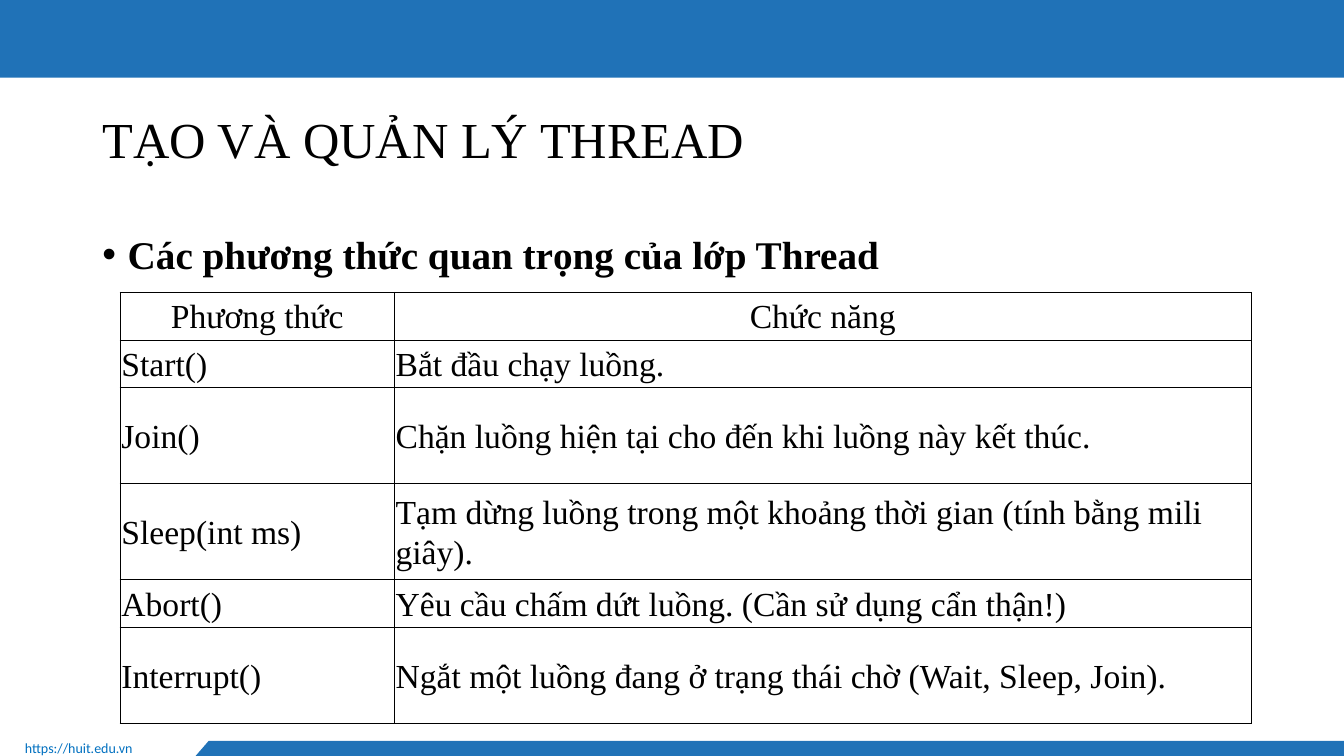
from dataclasses import dataclass

from lxml.etree import SubElement
from pptx import Presentation
from pptx.dml.color import RGBColor
from pptx.enum.shapes import MSO_SHAPE as Shape
from pptx.enum.text import MSO_ANCHOR as Anchor, PP_ALIGN as Align
from pptx.oxml.ns import qn
from pptx.util import Cm, Pt

SLIDE_WIDTH, SLIDE_HEIGHT = 33.87, 19.05
METHODS = [
    ("Phương thức", "Chức năng"),
    ("Start()", "Bắt đầu chạy luồng."),
    ("Join()", "Chặn luồng hiện tại cho đến khi luồng này kết thúc."),
    ("Sleep(int ms)", "Tạm dừng luồng trong một khoảng thời gian (tính bằng mili giây)."),
    ("Abort()", "Yêu cầu chấm dứt luồng. (Cần sử dụng cẩn thận!)"),
    ("Interrupt()", "Ngắt một luồng đang ở trạng thái chờ (Wait, Sleep, Join)."),
]
SHORT_ROW, TALL_ROW = 1.2, 2.42
ROW_HEIGHTS = [SHORT_ROW, SHORT_ROW, TALL_ROW, TALL_ROW, SHORT_ROW, TALL_ROW]
COLUMN_WIDTHS = [6.91, 21.59]


@dataclass(frozen=True)
class Theme:
    text: str = "000000"
    band: str = "2072B7"
    link: str = "0070C0"
    serif: str = "Times New Roman"
    sans: str = "Calibri"
    title_size: int = 36
    heading_size: int = 28
    table_size: int = 24
    footer_size: int = 10


class SlideBuilder:
    def __init__(self, slide, theme):
        self.slide, self.shapes, self.theme = slide, slide.shapes, theme

    def style(self, paragraph, size, name=None, color=None, bold=False):
        font = paragraph.font
        font.name = name or self.theme.serif
        font.size = Pt(size)
        font.bold = bold
        font.color.rgb = RGBColor.from_string(color or self.theme.text)

    def paint(self, shape):
        shape.shadow.inherit = False
        shape.fill.solid()
        shape.fill.fore_color.rgb = RGBColor.from_string(self.theme.band)
        shape.line.fill.background()

    def top_band(self, height):
        self.paint(self.shapes.add_shape(
            Shape.RECTANGLE, 0, 0, Cm(SLIDE_WIDTH), Cm(height)))

    def bottom_band(self, left, top, slant):
        outline = self.shapes.build_freeform(Cm(left + slant), Cm(top))
        outline.add_line_segments([
            (Cm(SLIDE_WIDTH), Cm(top)),
            (Cm(SLIDE_WIDTH), Cm(SLIDE_HEIGHT)),
            (Cm(left), Cm(SLIDE_HEIGHT)),
        ], close=True)
        self.paint(outline.convert_to_shape())

    def title(self, text, left, top, width, height):
        title = self.shapes.title
        title.left, title.top, title.width, title.height = map(Cm, (left, top, width, height))
        frame = title.text_frame
        frame.text = text
        frame.vertical_anchor = Anchor.MIDDLE
        heading = frame.paragraphs[0]
        heading.alignment = Align.LEFT
        heading.line_spacing = 0.9
        self.style(heading, self.theme.title_size)

    def text(self, text, left, top, width, height):
        """Add a wrapping text box and return its paragraph."""
        frame = self.shapes.add_textbox(*map(Cm, (left, top, width, height))).text_frame
        frame.word_wrap = True
        frame.text = text
        return frame.paragraphs[0]

    def bullet(self, text, *box):
        item = self.text(text, *box)
        item.line_spacing = 1.5
        properties = item._p.get_or_add_pPr()
        indent = Cm(0.64)
        properties.set("marL", str(indent))
        properties.set("indent", str(-indent))
        SubElement(properties, qn("a:buFont"), typeface="Arial")
        SubElement(properties, qn("a:buChar"), char="•")
        self.style(item, self.theme.heading_size, bold=True)

    def footer(self, text, *box):
        self.style(self.text(text, *box), self.theme.footer_size,
                   self.theme.sans, self.theme.link)

    def border(self, cell):
        properties = cell._tc.get_or_add_tcPr()
        for side in ("lnL", "lnR", "lnT", "lnB"):
            line = SubElement(properties, qn(f"a:{side}"), w=str(Pt(1)))
            fill = SubElement(line, qn("a:solidFill"))
            SubElement(fill, qn("a:srgbClr"), val=self.theme.text)

    def cell(self, cell, text, alignment):
        self.border(cell)
        cell.fill.background()
        cell.margin_left = cell.margin_right = Cm(0.03)
        cell.margin_top = cell.margin_bottom = Cm(0.03)
        cell.vertical_anchor = Anchor.MIDDLE
        cell.text = text
        entry = cell.text_frame.paragraphs[0]
        entry.alignment = alignment
        entry.line_spacing = 1.07
        entry.space_after = Pt(8)
        self.style(entry, self.theme.table_size)

    def table(self, rows, left, top, widths, heights):
        table = self.shapes.add_table(
            len(rows), len(widths), Cm(left), Cm(top),
            Cm(sum(widths)), Cm(sum(heights))).table
        table.first_row = table.horz_banding = False
        for column, width in zip(table.columns, widths):
            column.width = Cm(width)
        for index, (row, height, texts) in enumerate(zip(table.rows, heights, rows)):
            row.height = Cm(height)
            alignment = Align.LEFT if index else Align.CENTER
            for cell, text in zip(row.cells, texts):
                self.cell(cell, text, alignment)


def main():
    deck = Presentation()
    deck.slide_width, deck.slide_height = Cm(SLIDE_WIDTH), Cm(SLIDE_HEIGHT)
    builder = SlideBuilder(deck.slides.add_slide(deck.slide_layouts[5]), Theme())
    builder.top_band(1.96)
    builder.bottom_band(4.93, 18.67, 0.33)
    builder.footer("https://huit.edu.vn", 0.38, 18.52, 4.52, 0.7)
    builder.title("TẠO VÀ QUẢN LÝ THREAD", 2.33, 2.46, 29.21, 2.24)
    builder.bullet("Các phương thức quan trọng của lớp Thread", 2.33, 5.08, 29.21, 12.09)
    builder.table(METHODS, 3.03, 7.37, COLUMN_WIDTHS, ROW_HEIGHTS)
    deck.save("out.pptx")


if __name__ == "__main__":
    main()
